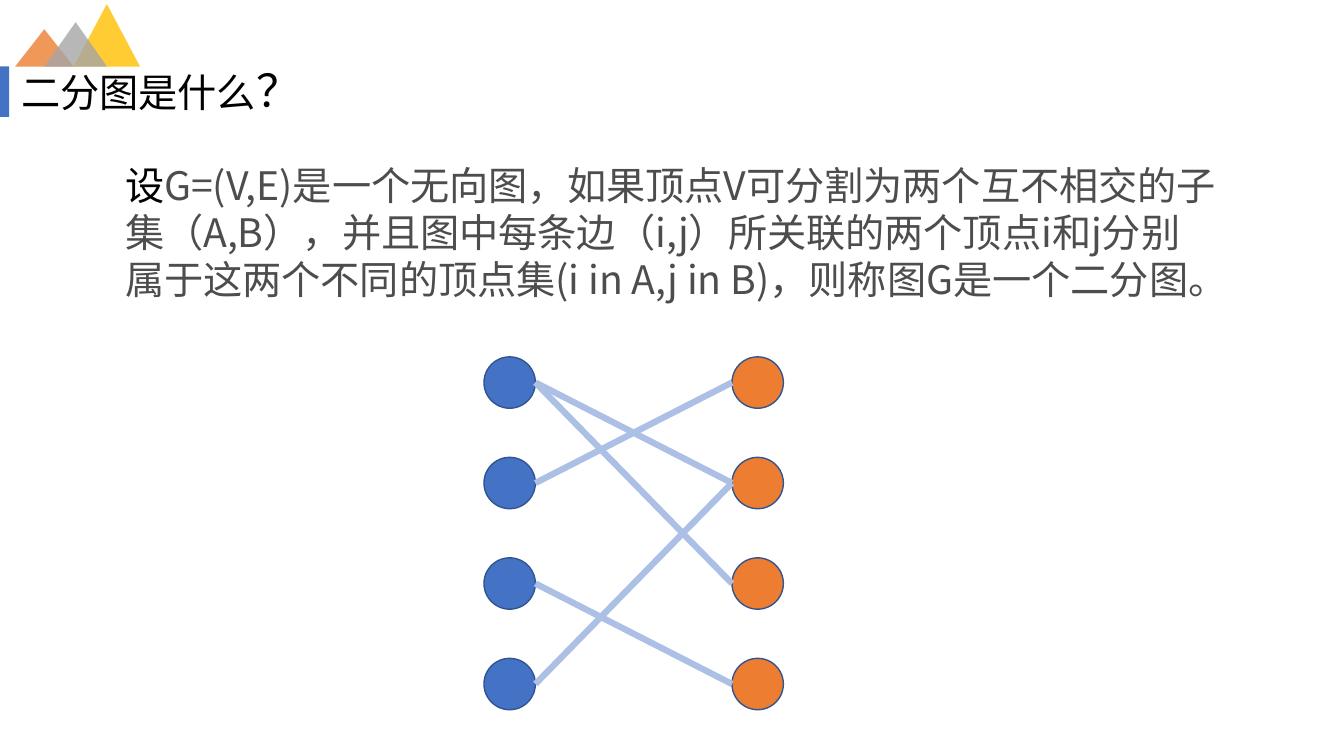
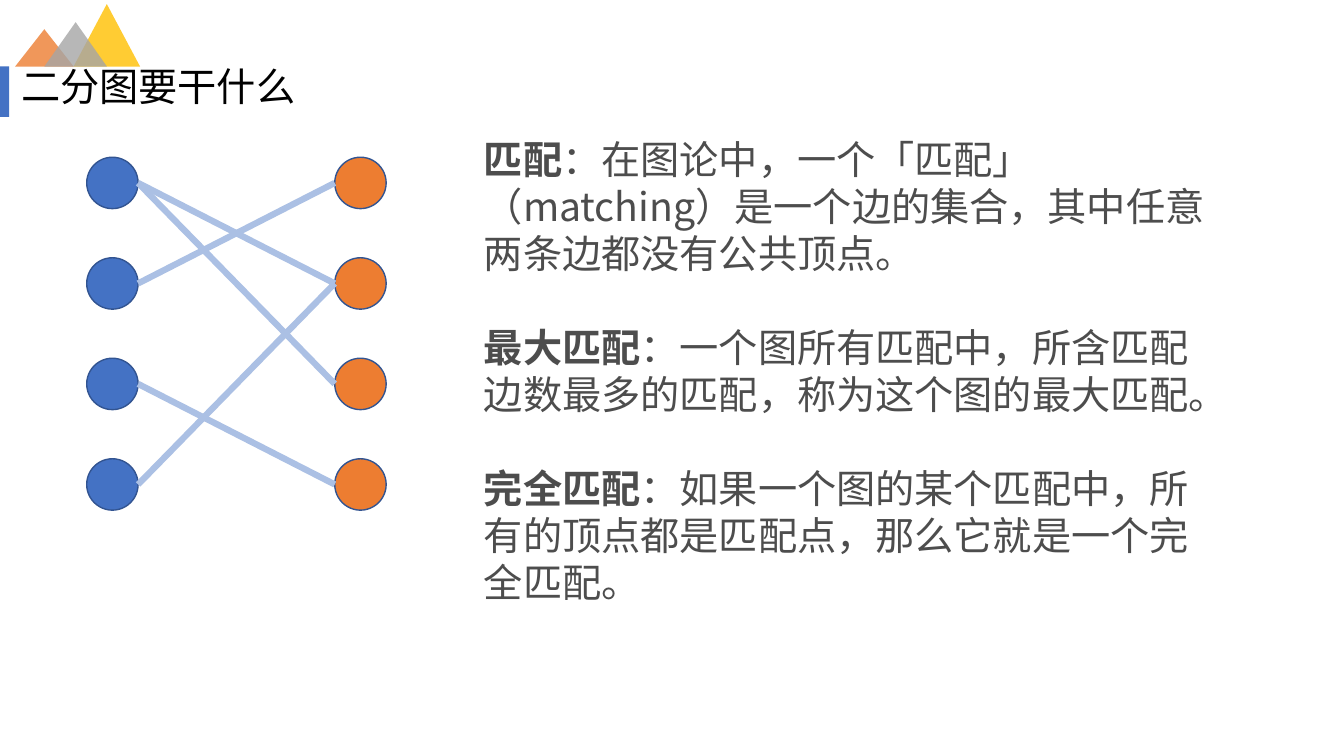
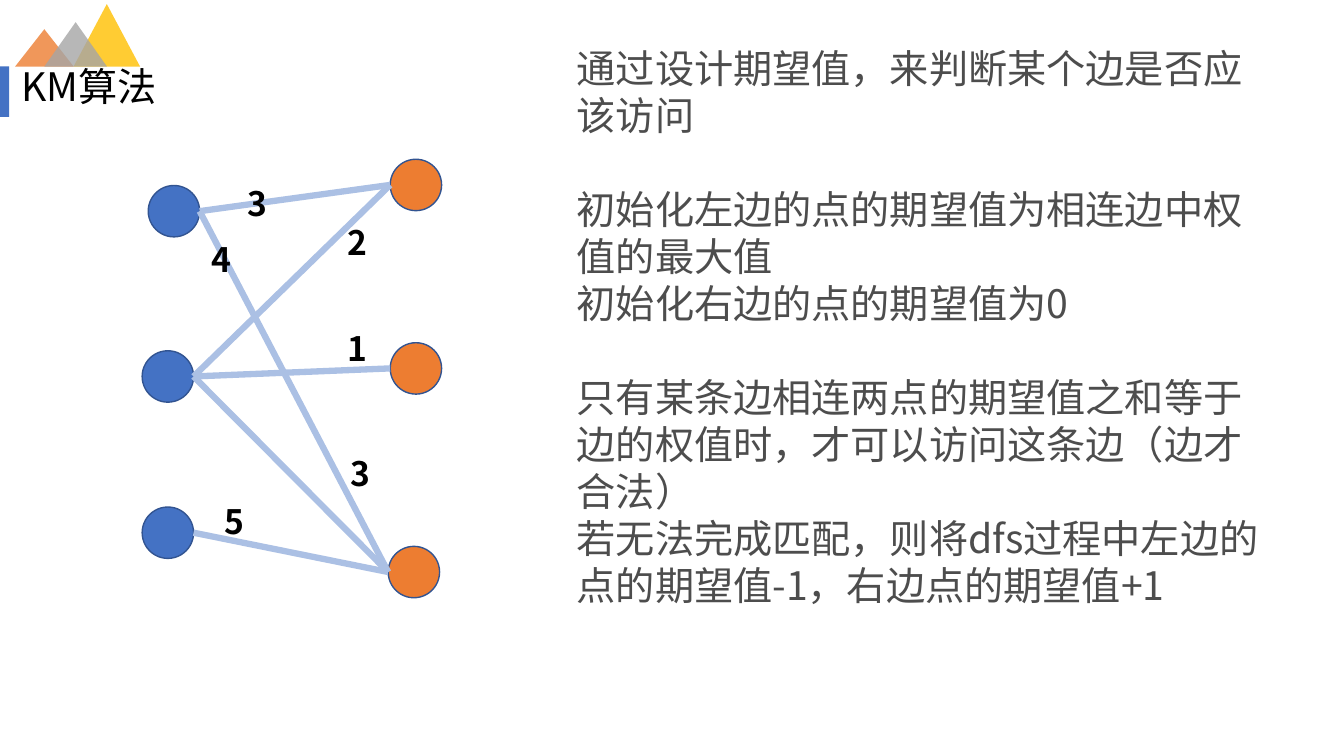
"""Builds three slides on bipartite graphs and matching."""
from dataclasses import dataclass

from pptx import Presentation
from pptx.dml.color import RGBColor
from pptx.enum import shapes as sh, text as tx
from pptx.oxml import xmlchemy as xc
from pptx.util import Inches, Pt


@dataclass(frozen=True)
class Theme:
    font: str = "Noto Sans CJK SC"
    black: str = "000000"
    grey: str = "4D4D4D"
    blue: str = "4472C4"
    orange: str = "ED7D31"
    silver: str = "A5A5A5"
    gold: str = "FFC000"
    rim: str = "325491"
    edge: str = "ABC0E4"
    text: int = 28
    mark: int = 32
    label: int = 24
    lead: float = 1.2
    node: float = 0.51


T = Theme()
PEAKS = [
    (0.73, 0.04, 0.66, 0.62, T.gold),
    (0.15, 0.29, 0.58, 0.37, T.orange),
    (0.44, 0.22, 0.62, 0.44, T.silver),
]
BAR = (0, 0.66, 0.09, 0.5)
LABEL = (0.67, 0.5)
LINKS = [(0, 1), (0, 2), (1, 0), (3, 1), (2, 3)]


def grid(x, y):
    """Returns two facing columns of four nodes and their links."""
    cols = [[(c, y + i * 0.997) for i in range(4)] for c in (x, x + 2.46)]
    return {"left": cols[0], "right": cols[1], "links": LINKS}


SLIDES = [
    {
        "title": [("二分图是什么", ""), ("？", "mark")],
        "head": (0.11, 0.57, 5.45, 0.64),
        "box": (1.14, 1.55, 11.05, 1.99),
        "body": [
            (0, [("设", "dark"),
                 ("G=(V,E)是一个无向图，如果顶点V可分割为两个互不相交的子集（A,B），"
                  "并且图中每条边（i,j）所关联的两个顶点i和j分别属于这两个不同的顶点集"
                  "(i in A,j in B)，则称图G是一个二分图。", "")]),
        ],
        "graph": grid(4.8, 3.54),
        "labels": [],
    },
    {
        "title": [("二分图要干什么", "")],
        "head": (0.11, 0.57, 5.45, 0.57),
        "box": (4.7, 1.29, 7.42, 4.81),
        "body": [
            (0, [("匹配", "bold"),
                 ("：在图论中，一个「匹配」（matching）是一个边的集合，"
                  "其中任意两条边都没有公共顶点。", "")]),
            (1, [("最大匹配", "bold"),
                 ("：一个图所有匹配中，所含匹配边数最多的匹配，"
                  "称为这个图的最大匹配。", "")]),
            (1, [("完全匹配", "bold"),
                 ("：如果一个图的某个匹配中，所有的顶点都是匹配点，"
                  "那么它就是一个完全匹配。", "")]),
        ],
        "graph": grid(0.86, 1.56),
        "labels": [],
    },
    {
        "title": [("KM算法", "")],
        "head": (0.11, 0.57, 5.45, 0.57),
        "box": (5.62, 0.39, 6.98, 5.76),
        "body": [
            (0, [("通过设计期望值，来判断某个边是否应该访问", "")]),
            (1, [("初始化左边的点的期望值为相连边中权值的最大值", "")]),
            (0, [("初始化右边的点的期望值为0", "")]),
            (1, [("只有某条边相连两点的期望值之和等于边的权值时，"
                  "才可以访问这条边（边才合法）", "")]),
            (0, [("若无法完成匹配，则将dfs过程中左边的点的期望值-1，"
                  "右边点的期望值+1", "")]),
        ],
        "graph": {
            "left": [(1.47, 1.84), (1.41, 3.48), (1.41, 5.03)],
            "right": [(3.87, 1.58), (3.87, 3.4), (3.85, 5.42)],
            "links": [(0, 0), (0, 2), (1, 1), (2, 2), (1, 0), (1, 2)],
        },
        "labels": [("2", 3.21, 2.15), ("4", 1.86, 2.32), ("3", 2.22, 1.77),
                   ("1", 3.21, 3.2), ("3", 3.24, 4.44), ("5", 1.99, 4.92)],
    },
]


def rgb(hue):
    return RGBColor.from_string(hue)


def sub(node, tag, **attrs):
    """Appends a drawing element with the given attributes."""
    part = node.makeelement(xc.qn("a:" + tag), attrs)
    node.append(part)
    return part


def style(para, size, hue, bold=False, tall=None):
    """Sets the font and line pitch of a paragraph."""
    font = para.font
    font.name, font.size, font.bold = T.font, Pt(size), bold
    font.color.rgb = rgb(hue)
    sub(font._element, "ea", typeface=T.font)
    para.line_spacing = Pt((tall or size) * T.lead)
    para.space_before = para.space_after = Pt(0)


def write(para, runs):
    for words, kind in runs:
        run = para.add_run()
        run.text = words
        if kind == "bold":
            run.font.bold = True
        elif kind == "dark":
            run.font.color.rgb = rgb(T.black)
        elif kind == "mark":
            run.font.size = Pt(T.mark)


def place(shape, box):
    """Moves a placeholder and returns its text frame."""
    shape.left, shape.top, shape.width, shape.height = map(Inches, box)
    frame = shape.text_frame
    frame.word_wrap = True
    frame.auto_size = tx.MSO_AUTO_SIZE.SHAPE_TO_FIT_TEXT
    frame.vertical_anchor = tx.MSO_ANCHOR.TOP
    return frame


def shape(slide, kind, box, hue, rim=None):
    item = slide.shapes.add_shape(kind, *map(Inches, box))
    item.shadow.inherit = False
    item.fill.solid()
    item.fill.fore_color.rgb = rgb(hue)
    if rim:
        item.line.color.rgb = rgb(rim)
        item.line.width = Pt(1)
    else:
        item.line.fill.background()
    return item


def decor(slide):
    """Draws the peaks and the bar once and hands them to the layout."""
    parts = []
    for *box, hue in PEAKS:
        peak = shape(slide, sh.MSO_SHAPE.ISOSCELES_TRIANGLE, box, hue)
        tint = peak._element.spPr.find(xc.qn("a:solidFill"))[0]
        sub(tint, "alpha", val="80000")
        parts.append(peak)
    parts.append(shape(slide, sh.MSO_SHAPE.RECTANGLE, BAR, T.blue))
    tree = slide.slide_layout.shapes._spTree
    for num, part in enumerate(parts, 100):
        part._element.nvSpPr.cNvPr.set("id", str(num))
        tree.append(part._element)


def title(slide, data):
    para = place(slide.shapes.title, data["head"]).paragraphs[0]
    sizes = [T.mark if kind == "mark" else T.text for _, kind in data["title"]]
    style(para, T.text, T.black, tall=max(sizes))
    para.alignment = tx.PP_ALIGN.LEFT
    write(para, data["title"])


def body(slide, data):
    frame = place(slide.placeholders[1], data["box"])
    for num, (gap, runs) in enumerate(data["body"]):
        para = frame.add_paragraph() if num else frame.paragraphs[0]
        props = para._p.get_or_add_pPr()
        props.set("marL", "0")
        props.set("indent", "0")
        sub(props, "buNone")
        style(para, T.text, T.grey)
        para.space_before = Pt(gap * T.text * T.lead)
        write(para, runs)


def graph(slide, data):
    left, right = data["left"], data["right"]
    for side, hue in ((left, T.blue), (right, T.orange)):
        for x, y in side:
            shape(slide, sh.MSO_SHAPE.OVAL, (x, y, T.node, T.node), hue, T.rim)
    half = T.node / 2
    for i, j in data["links"]:
        (ax, ay), (bx, by) = left[i], right[j]
        ends = (ax + T.node, ay + half, bx, by + half)
        line = slide.shapes.add_connector(
            sh.MSO_CONNECTOR.STRAIGHT, *map(Inches, ends))
        line.line.color.rgb = rgb(T.edge)
        line.line.width = Pt(4.5)
        sub(line._element.spPr, "effectLst")


def label(slide, words, x, y):
    box = slide.shapes.add_textbox(*map(Inches, (x, y, *LABEL)))
    box.text_frame.word_wrap = True
    para = box.text_frame.paragraphs[0]
    style(para, T.label, T.black, bold=True)
    para.alignment = tx.PP_ALIGN.CENTER
    write(para, [(words, "")])


def main():
    deck = Presentation()
    deck.slide_width, deck.slide_height = Inches(13.33), Inches(7.5)
    for num, data in enumerate(SLIDES):
        slide = deck.slides.add_slide(deck.slide_layouts[1])
        if num == 0:
            decor(slide)
        title(slide, data)
        body(slide, data)
        graph(slide, data["graph"])
        for item in data["labels"]:
            label(slide, *item)
    deck.save("out.pptx")


if __name__ == "__main__":
    main()
